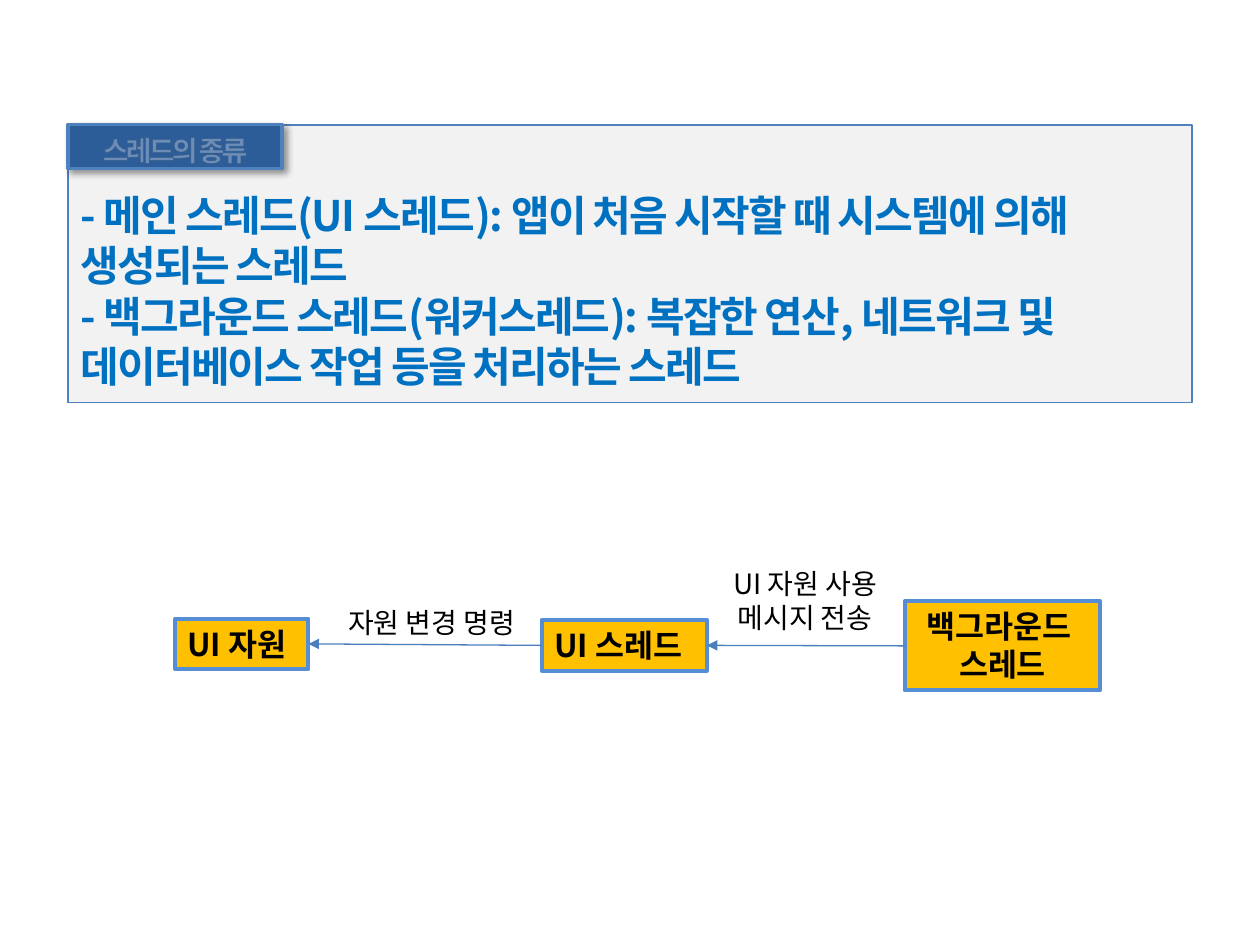
from dataclasses import dataclass
from typing import Optional

from lxml.etree import SubElement
from pptx import Presentation
from pptx.dml.color import RGBColor
from pptx.enum.shapes import MSO_CONNECTOR as Connector, MSO_SHAPE as Preset
from pptx.enum.text import MSO_ANCHOR as Anchor, MSO_AUTO_SIZE as AutoSize, PP_ALIGN as Align
from pptx.oxml import parse_xml
from pptx.oxml.ns import nsdecls, qn
from pptx.util import Cm, Pt

FONT = "Noto Sans CJK KR"
LEFT_SIDE, RIGHT_SIDE = 1, 3


@dataclass(frozen=True)
class Box:
    left: float
    top: float
    width: float
    height: float

    def lengths(self) -> tuple:
        return Cm(self.left), Cm(self.top), Cm(self.width), Cm(self.height)


@dataclass(frozen=True)
class TextStyle:
    size: float
    color: str = "000000"
    bold: bool = False
    align: Align = Align.LEFT
    line_spacing: float = 1.0
    tracking: float = 0
    outline: Optional[str] = None


@dataclass(frozen=True)
class Node:
    box: Box
    lines: tuple
    align: Align = Align.LEFT


@dataclass(frozen=True)
class Label:
    box: Box
    lines: tuple


BODY_STYLE = TextStyle(24, "0070C0", True, tracking=-1, outline="0070C0")
TAG_STYLE = TextStyle(16, "FFFFFF", True, Align.CENTER, 1.2, -1.5, "595959")
LABEL_STYLE = TextStyle(16, align=Align.CENTER)

PANEL = Box(1.37, 2.52, 22.66, 5.59)
TAG = Box(1.37, 2.51, 4.32, 0.89)
PANEL_LINES = (
    "- 메인 스레드(UI 스레드): 앱이 처음 시작할 때 시스템에 의해 생성되는 스레드",
    "- 백그라운드 스레드(워커스레드): 복잡한 연산, 네트워크 및 데이터베이스 작업 등을 처리하는 스레드",
)
# Ordered from the receiver to the sender
NODES = (
    Node(Box(3.53, 12.47, 2.69, 1.02), ("UI 자원",)),
    Node(Box(10.92, 12.5, 3.33, 1.02), ("UI 스레드",)),
    Node(Box(18.24, 12.12, 3.94, 1.8), ("백그라운드 ", "스레드"), Align.CENTER),
)
LABELS = (
    Label(Box(14.35, 11.3, 3.76, 1.63), ("UI 자원 사용", "메시지 전송")),
    Label(Box(6.53, 12.09, 4.34, 0.94), ("자원 변경 명령",)),
)


def rgb(value: str) -> RGBColor:
    return RGBColor.from_string(value)


def add_run(paragraph, text: str, style: TextStyle) -> None:
    run = paragraph.add_run()
    run.text = text
    font = run.font
    font.name, font.size, font.bold = FONT, Pt(style.size), style.bold
    font.color.rgb = rgb(style.color)
    properties = run._r.get_or_add_rPr()
    SubElement(properties, qn("a:ea")).set("typeface", FONT)
    if style.tracking:
        properties.set("spc", str(int(style.tracking * 100)))
    if style.outline:
        properties.insert(0, parse_xml(
            f'<a:ln {nsdecls("a")} w="9525"><a:solidFill><a:srgbClr val="{style.outline}">'
            '<a:alpha val="30000"/></a:srgbClr></a:solidFill></a:ln>'))


def write(shape, lines: tuple, style: TextStyle, anchor=Anchor.TOP, wrap: bool = False) -> None:
    frame = shape.text_frame
    frame.word_wrap, frame.auto_size = wrap, AutoSize.NONE
    frame.vertical_anchor = anchor
    for index, line in enumerate(lines):
        paragraph = frame.add_paragraph() if index else frame.paragraphs[0]
        paragraph.alignment = style.align
        paragraph.line_spacing = style.line_spacing
        add_run(paragraph, line, style)


def add_rectangle(shapes, box: Box, fill: str, line: str, weight: float):
    shape = shapes.add_shape(Preset.RECTANGLE, *box.lengths())
    shape.shadow.inherit = False
    shape.fill.solid()
    shape.fill.fore_color.rgb = rgb(fill)
    shape.line.color.rgb = rgb(line)
    shape.line.width = Pt(weight)
    return shape


def add_drop_shadow(shape) -> None:
    effects = shape.element.spPr.find(qn("a:effectLst"))
    effects.append(parse_xml(
        f'<a:outerShdw {nsdecls("a")} blurRad="{Pt(4)}" dist="{Pt(3)}" dir="2700000" '
        'algn="tl" rotWithShape="0"><a:srgbClr val="000000"><a:alpha val="40000"/>'
        '</a:srgbClr></a:outerShdw>'))


def add_arrow(shapes, sender, receiver) -> None:
    arrow = shapes.add_connector(Connector.STRAIGHT, 0, 0, 0, 0)
    arrow.begin_connect(sender, LEFT_SIDE)
    arrow.end_connect(receiver, RIGHT_SIDE)
    arrow.line.color.rgb = rgb("4B7EBC")
    arrow.line.width = Pt(0.75)
    properties = arrow.element.spPr
    SubElement(properties.find(qn("a:ln")), qn("a:tailEnd")).set("type", "triangle")
    SubElement(properties, qn("a:effectLst"))


def main() -> None:
    presentation = Presentation()
    presentation.slide_width, presentation.slide_height = Cm(25.4), Cm(19.05)
    slide = presentation.slides.add_slide(presentation.slide_layouts[6])

    # Panel with its heading tag
    group = slide.shapes.add_group_shape()
    panel = add_rectangle(group.shapes, PANEL, "F2F2F2", "4F81BD", 0.75)
    panel.text_frame.margin_top = Cm(1.3)
    write(panel, PANEL_LINES, BODY_STYLE, wrap=True)
    tag = add_rectangle(group.shapes, TAG, "2C5D98", "4F81BD", 2)
    add_drop_shadow(tag)
    write(tag, ("스레드의 종류",), TAG_STYLE, Anchor.MIDDLE)

    # Thread boxes
    boxes = []
    for node in NODES:
        shape = add_rectangle(slide.shapes, node.box, "FFC000", "558ED5", 2.25)
        write(shape, node.lines, TextStyle(18, bold=True, align=node.align))
        boxes.append(shape)

    # Arrows from each box to the one on its left
    for receiver, sender in zip(boxes, boxes[1:]):
        add_arrow(slide.shapes, sender, receiver)

    # Arrow labels
    for label in LABELS:
        write(slide.shapes.add_textbox(*label.box.lengths()), label.lines, LABEL_STYLE)

    presentation.save("out.pptx")


if __name__ == "__main__":
    main()
